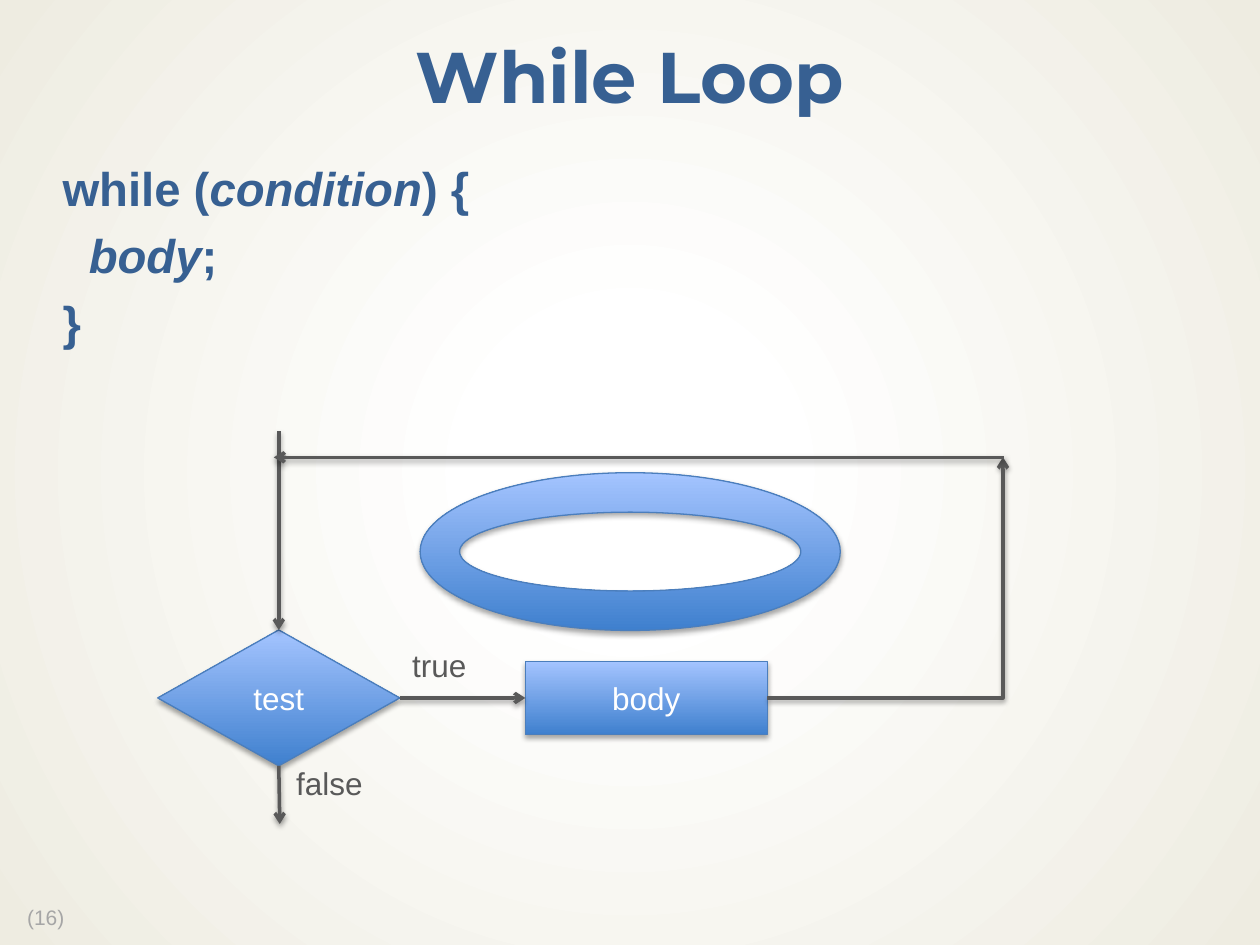
from lxml import etree
from pptx import Presentation
from pptx.dml.color import RGBColor
from pptx.enum.shapes import MSO_CONNECTOR, MSO_SHAPE
from pptx.enum.text import MSO_ANCHOR, MSO_AUTO_SIZE, PP_ALIGN
from pptx.oxml.ns import qn
from pptx.util import Cm, Pt

STRAIGHT, ELBOW = MSO_CONNECTOR.STRAIGHT, MSO_CONNECTOR.ELBOW
DIAMOND, DONUT, RECT = MSO_SHAPE.DIAMOND, MSO_SHAPE.DONUT, MSO_SHAPE.RECTANGLE
CENTER, MIDDLE, TOP = PP_ALIGN.CENTER, MSO_ANCHOR.MIDDLE, MSO_ANCHOR.TOP
NO_FIT = MSO_AUTO_SIZE.NONE

COLORS = {"heading": "376092", "line": "595959", "border": "4B7EBC",
          "deep": "3F80CE", "light": "A4C4FF", "white": "FFFFFF",
          "cream": "EEECE1", "number": "A6A6A6", "shadow": "000000"}


def rgb(name):
    """Look up a palette colour."""
    return RGBColor.from_string(COLORS[name])


def add_run(p, text, size, color, bold=False, italic=False, font="Arial"):
    """Append one formatted run to a paragraph."""
    r = p.add_run()
    r.text = text
    r.font.name, r.font.size = font, Pt(size)
    r.font.bold, r.font.italic = bold, italic
    r.font.color.rgb = rgb(color)


def set_gradient(fill, stops):
    """Give a fill a two-colour gradient."""
    fill.gradient()
    for stop, (position, color) in zip(fill.gradient_stops, stops):
        stop.position = position
        stop.color.rgb = rgb(color)


def add_shadow(shape, alpha, dist):
    """Add a soft shadow below a shape or connector."""
    effects = etree.SubElement(shape._element.spPr, qn("a:effectLst"))
    outer = etree.SubElement(effects, qn("a:outerShdw"), blurRad=str(Pt(3.1)),
                             dist=str(Pt(dist)), dir="5400000", rotWithShape="0")
    color = etree.SubElement(outer, qn("a:srgbClr"), val=COLORS["shadow"])
    etree.SubElement(color, qn("a:alpha"), val=str(alpha * 1000))


def place(shape, box):
    """Move a shape to a box given in centimetres."""
    shape.left, shape.top, shape.width, shape.height = (Cm(v) for v in box)


def paint_background(s):
    """Paint a round gradient behind the slide."""
    fill = s.background.fill
    set_gradient(fill, [(0.18, "white"), (1, "cream")])
    grad = s._element.find(".//" + qn("a:gradFill"))
    grad.remove(grad.find(qn("a:lin")))
    circle = etree.SubElement(grad, qn("a:path"), attrib={"path": "circle"})
    etree.SubElement(circle, qn("a:fillToRect"),
                     attrib={side: "50000" for side in "ltrb"})


def fill_title(s, box, text):
    """Place and fill the title."""
    title = s.shapes.title
    place(title, box)
    tf = title.text_frame
    tf.auto_size, tf.vertical_anchor = NO_FIT, MIDDLE
    p = tf.paragraphs[0]
    p.alignment, p.line_spacing = CENTER, 0.9
    add_run(p, text, 41, "heading", bold=True, font="Montserrat")


def fill_code(s, box, lines):
    """Place the body and fill it with indented lines of code."""
    body = s.placeholders[1]
    place(body, box)
    tf = body.text_frame
    tf.auto_size, tf.vertical_anchor = NO_FIT, TOP
    tf.margin_left = tf.margin_right = Cm(0.3)
    tf.margin_top = tf.margin_bottom = Cm(0.15)
    for i, (indent, runs) in enumerate(lines):
        p = tf.add_paragraph() if i else tf.paragraphs[0]
        p.line_spacing, p.space_before = 0.9, Pt(9.3)
        pPr = p._p.get_or_add_pPr()
        pPr.set("marL", str(Cm(indent)))
        pPr.set("indent", "0")
        etree.SubElement(pPr, qn("a:buNone"))
        for text, italic in runs:
            add_run(p, text, 27, "heading", bold=True, italic=italic)


def add_label(shapes, box, text, size, color):
    """Add a one-line text box."""
    label = shapes.add_textbox(*(Cm(v) for v in box))
    label.text_frame.word_wrap = False
    p = label.text_frame.paragraphs[0]
    add_run(p, text, size, color)
    return p


def add_node(shapes, kind, box, text):
    """Add a blue flowchart node."""
    node = shapes.add_shape(kind, *(Cm(v) for v in box))
    set_gradient(node.fill, [(0, "deep"), (1, "light")])
    node.fill.gradient_angle = 90
    node.line.color.rgb, node.line.width = rgb("border"), Pt(0.75)
    add_shadow(node, 35, 1.8)
    if text:
        tf = node.text_frame
        tf.vertical_anchor = MIDDLE
        p = tf.paragraphs[0]
        p.alignment = CENTER
        add_run(p, text, 18, "white")


def add_arrow(shapes, kind, ends):
    """Add an arrow; an elbow turns once."""
    arrow = shapes.add_connector(kind, *(Cm(v) for v in ends))
    arrow.line.color.rgb, arrow.line.width = rgb("line"), Pt(2)
    etree.SubElement(arrow.line._get_or_add_ln(), qn("a:tailEnd"), type="arrow")
    if kind == ELBOW:
        arrow._element.spPr.find(qn("a:prstGeom")).set("prst", "bentConnector2")
    add_shadow(arrow, 38, 1.6)


def draw_flowchart(s, x, y):
    """Draw the loop with its top left corner at x, y."""
    shapes = s.shapes.add_group_shape().shapes
    node_w, test_h, body_h = 4.88, 2.74, 1.48
    axis, lane, loop = x + node_w / 2, y + 5.38, y + 0.53
    test_top, test_end = lane - test_h / 2, lane + test_h / 2
    body_x, right = x + 7.41, x + 17.04
    for kind, box, text in [
            (DIAMOND, (x, test_top, node_w, test_h), "test"),
            (DONUT, (x + 5.29, y + 0.84, 8.47, 3.18), ""),
            (RECT, (body_x, lane - body_h / 2, node_w, body_h), "body")]:
        add_node(shapes, kind, box, text)
    for kind, ends in [
            (STRAIGHT, (axis, y, axis, test_top)),
            (STRAIGHT, (axis, test_end, axis + 0.02, y + 7.92)),
            (STRAIGHT, (x + node_w, lane, body_x, lane)),
            (ELBOW, (body_x + node_w, lane, right, loop)),
            (STRAIGHT, (right + 0.02, loop, axis - 0.1, loop))]:
        add_arrow(shapes, kind, ends)
    add_label(shapes, (x + node_w, y + 4.21, 1.63, 1.02), "true", 18, "line")
    add_label(shapes, (axis + 0.1, y + 6.58, 1.88, 1.02), "false", 18, "line")


prs = Presentation()
prs.slide_width, prs.slide_height = Cm(25.4), Cm(19.05)
s = prs.slides.add_slide(prs.slide_layouts[1])
paint_background(s)
fill_title(s, (0, 0.43, 25.4, 2.39), "While Loop")
fill_code(s, (0.96, 3.18, 23.5, 14.35), [
    (0, [("while (", False), ("condition", True), (") {", False)]),
    (0.53, [("body", True), (";", False)]),
    (0, [("}", False)])])
draw_flowchart(s, 3.18, 8.69)
add_label(s.shapes, (0.18, 18.16, 1.42, 0.71), " (16)", 12, "number").line_spacing = 0.9
prs.save("out.pptx")
